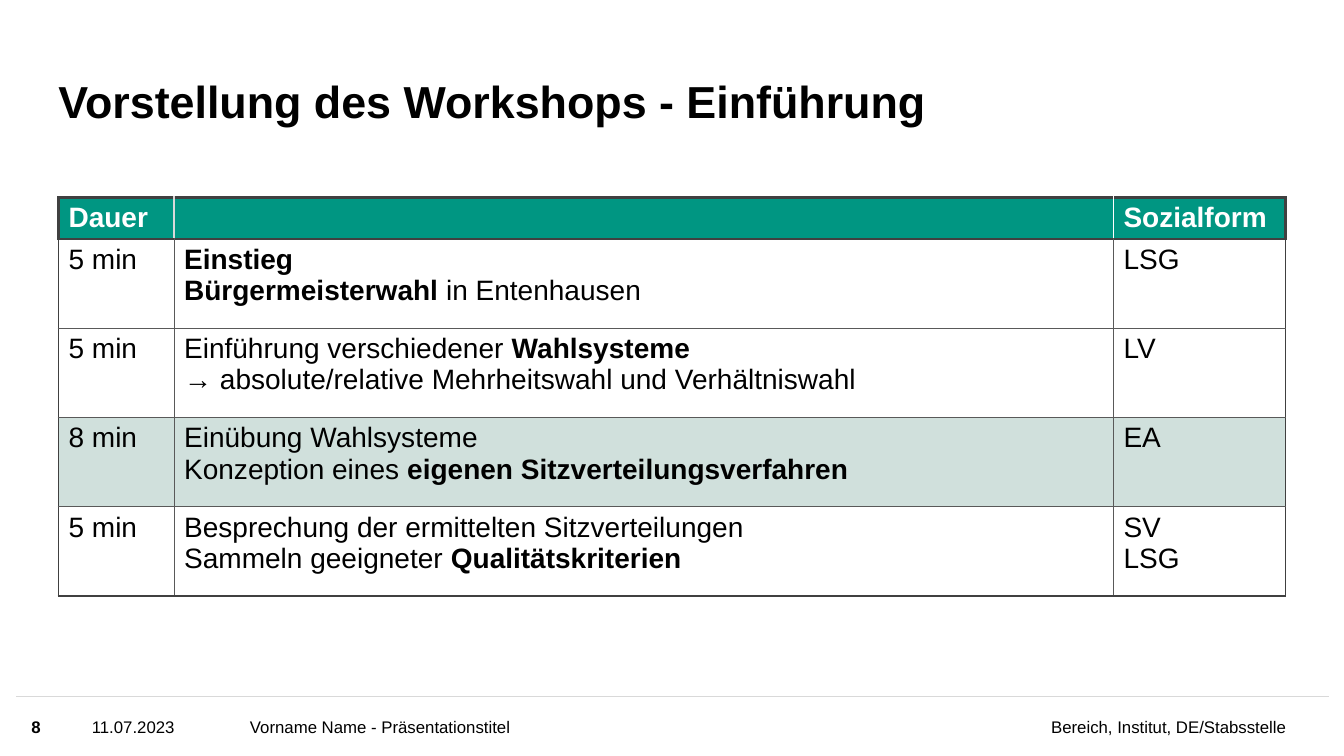
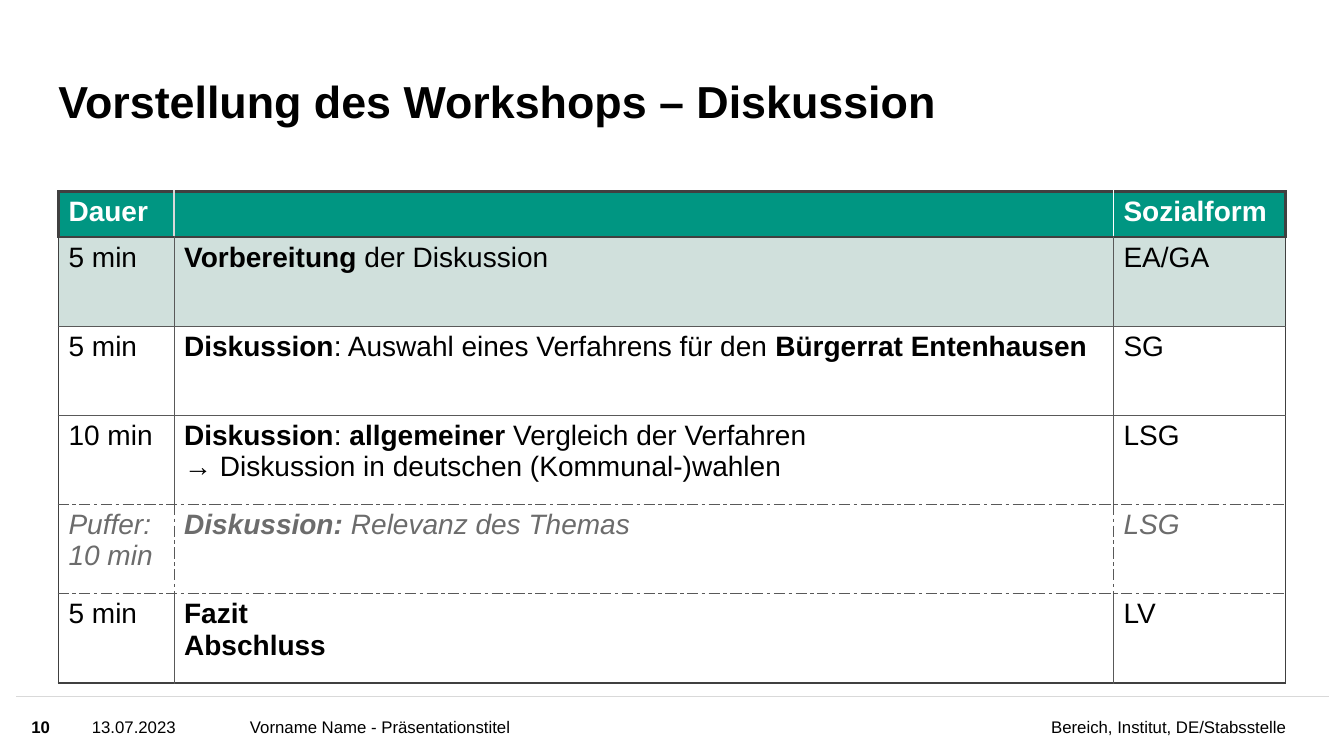
from dataclasses import dataclass

from lxml.etree import SubElement
from pptx import Presentation
from pptx.dml.color import RGBColor
from pptx.enum.shapes import MSO_CONNECTOR as Link
from pptx.enum.text import MSO_ANCHOR as Anchor, MSO_AUTO_SIZE as Fit, PP_ALIGN as Align
from pptx.oxml.ns import qn
from pptx.slide import Slide
from pptx.table import _Cell as Cell
from pptx.text.text import Font, TextFrame
from pptx.util import Emu, Inches, Pt

BLACK = RGBColor(0x00, 0x00, 0x00)
WHITE = RGBColor(0xFF, 0xFF, 0xFF)
GREEN = RGBColor(0x00, 0x96, 0x82)
MINT = RGBColor(0xD0, 0xE0, 0xDC)
DARK = RGBColor(0x40, 0x40, 0x40)
GREY = RGBColor(0x59, 0x59, 0x59)
SOFT = RGBColor(0x6C, 0x6C, 0x6C)
PALE = RGBColor(0xD9, 0xD9, 0xD9)

FACE = "Arial"
WIDE, HIGH = Inches(13.33), Inches(7.5)
LEFT = 4.35
COLS = (8.6, 69.9, 12.8)
STEP = 11.8
RULE = 92.13


@dataclass(frozen=True)
class Box:
    left: float
    top: float
    width: float
    height: float

    def place(self) -> tuple[Emu, Emu, Emu, Emu]:
        return across(self.left), down(self.top), across(self.width), down(self.height)


@dataclass(frozen=True)
class Edge:
    color: RGBColor
    width: float
    dash: str = "solid"


@dataclass(frozen=True)
class Row:
    time: str
    topic: str
    form: str
    fill: RGBColor = WHITE
    ink: RGBColor = BLACK
    spare: bool = False


@dataclass(frozen=True)
class Page:
    title: str
    number: str
    date: str
    top: float
    head: float
    rows: tuple[Row, ...]


@dataclass(frozen=True)
class Note:
    text: str
    box: Box
    bold: bool = False
    align: Align = Align.LEFT


THIN = Edge(GREY, 0.5)
DASHED = Edge(GREY, 0.5, "lgDashDot")
SIDE = Edge(DARK, 1.5)
FRAME = Edge(DARK, 2.25)
SPLITS = (Edge(PALE, 1), Edge(WHITE, 1))
HEAD = Row("*Dauer*", "", "*Sozialform*", GREEN, WHITE)
TITLE = Box(LEFT, 5.73, 75.2, 11.2)

PAGES = (
    Page("Vorstellung des Workshops - Einführung", "8", "11.07.2023", 26.13, 5.5, (
        Row("5 min", "*Einstieg\nBürgermeisterwahl* in Entenhausen", "LSG"),
        Row("5 min", "Einführung verschiedener *Wahlsysteme*\n"
            "→ absolute/relative Mehrheitswahl und Verhältniswahl", "LV"),
        Row("8 min", "Einübung Wahlsysteme\n"
            "Konzeption eines *eigenen Sitzverteilungsverfahren*", "EA", MINT),
        Row("5 min", "Besprechung der ermittelten Sitzverteilungen\n"
            "Sammeln geeigneter *Qualitätskriterien*", "SV\nLSG"),
    )),
    Page("Vorstellung des Workshops – Diskussion", "10", "13.07.2023", 25.33, 6, (
        Row("5 min", "*Vorbereitung* der Diskussion", "EA/GA", MINT),
        Row("5 min", "*Diskussion*: Auswahl eines Verfahrens für den "
            "*Bürgerrat Entenhausen*", "SG"),
        Row("10 min", "*Diskussion*: *allgemeiner* Vergleich der Verfahren\n"
            "→ Diskussion in deutschen (Kommunal-)wahlen", "LSG"),
        Row("Puffer: 10 min", "*Diskussion:* Relevanz des Themas", "LSG",
            ink=SOFT, spare=True),
        Row("5 min", "*Fazit\nAbschluss*", "LV"),
    )),
)


def across(share: float) -> Emu:
    return Emu(round(WIDE * share / 100))


def down(share: float) -> Emu:
    return Emu(round(HIGH * share / 100))


def style(font: Font, size: float, color: RGBColor, bold: bool, slant: bool = False) -> None:
    font.name, font.size = FACE, Pt(size)
    font.bold, font.italic = bold, slant
    font.color.rgb = color


def set_text(frame: TextFrame, text: str, size: float, bold: bool,
             anchor: Anchor, align: Align) -> None:
    frame.text = text
    frame.word_wrap, frame.auto_size = True, Fit.NONE
    frame.vertical_anchor = anchor
    frame.margin_left = frame.margin_right = frame.margin_top = frame.margin_bottom = 0
    line = frame.paragraphs[0]
    line.alignment = align
    style(line.runs[0].font, size, BLACK, bold)


def fill_cell(cell: Cell, text: str, row: Row) -> None:
    cell.fill.solid()
    cell.fill.fore_color.rgb = row.fill
    line = cell.text_frame.paragraphs[0]
    for turn, part in enumerate(text.split("*")):
        for count, piece in enumerate(part.split("\n")):
            if count:
                line.add_line_break()
            if piece:
                run = line.add_run()
                run.text = piece
                style(run.font, 20, row.ink, turn % 2 == 1, row.spare)


def set_edges(cell: Cell, edges: dict[str, Edge]) -> None:
    props = cell._tc.get_or_add_tcPr()
    for spot, (side, edge) in enumerate(edges.items()):
        line = SubElement(props, qn(f"a:ln{side}"), w=str(Pt(edge.width)))
        paint = SubElement(line, qn("a:solidFill"))
        SubElement(paint, qn("a:srgbClr"), val=str(edge.color))
        SubElement(line, qn("a:prstDash"), val=edge.dash)
        props.insert(spot, line)


def flat_edge(rows: list[Row], at: int) -> Edge:
    if at == 0:
        return FRAME
    if at in (1, len(rows)):
        return SIDE
    return DASHED if rows[at - 1].spare or rows[at].spare else THIN


def tall_edge(row: Row, at: int) -> Edge:
    if at in (0, len(COLS)):
        return FRAME if row is HEAD else SIDE
    if row is HEAD:
        return SPLITS[at - 1]
    return DASHED if row.spare else THIN


def add_plan(slide: Slide, page: Page) -> None:
    rows = [HEAD, *page.rows]
    box = Box(LEFT, page.top, sum(COLS), page.head + STEP * len(page.rows))
    table = slide.shapes.add_table(len(rows), len(COLS), *box.place()).table
    for col, width in zip(table.columns, COLS):
        col.width = across(width)
    for y, row in enumerate(rows):
        table.rows[y].height = down(STEP if y else page.head)
        for x, text in enumerate((row.time, row.topic, row.form)):
            cell = table.cell(y, x)
            fill_cell(cell, text, row)
            set_edges(cell, {
                "L": tall_edge(row, x), "R": tall_edge(row, x + 1),
                "T": flat_edge(rows, y), "B": flat_edge(rows, y + 1),
            })


def add_foot(slide: Slide, page: Page) -> None:
    rule = slide.shapes.add_connector(
        Link.STRAIGHT, across(1.2), down(RULE), across(98.87), down(RULE))
    rule.line.color.rgb, rule.line.width = PALE, Pt(1)
    SubElement(rule._element.spPr, qn("a:effectLst"))
    top, height = 92.27, 7.73
    for note in (
        Note("Vorname Name - Präsentationstitel", Box(18.6, top, 40.28, height)),
        Note("Bereich, Institut, DE/Stabsstelle", Box(60.24, top, 35.48, height),
             align=Align.RIGHT),
        Note(page.date, Box(6.83, top, 11.25, height)),
        Note(page.number, Box(2.33, top, 3.6, height), bold=True),
    ):
        shape = slide.shapes.add_textbox(*note.box.place())
        set_text(shape.text_frame, note.text, 12, note.bold, Anchor.MIDDLE, note.align)


def add_title(slide: Slide, text: str) -> None:
    title = slide.shapes.title
    title.left, title.top, title.width, title.height = TITLE.place()
    set_text(title.text_frame, text, 32, True, Anchor.BOTTOM, Align.LEFT)
    title.text_frame.paragraphs[0].line_spacing = 0.9


def main() -> None:
    deck = Presentation()
    deck.slide_width, deck.slide_height = WIDE, HIGH
    for page in PAGES:
        slide = deck.slides.add_slide(deck.slide_layouts.get_by_name("Title Only"))
        add_foot(slide, page)
        add_title(slide, page.title)
        add_plan(slide, page)
    deck.save("out.pptx")


if __name__ == "__main__":
    main()
